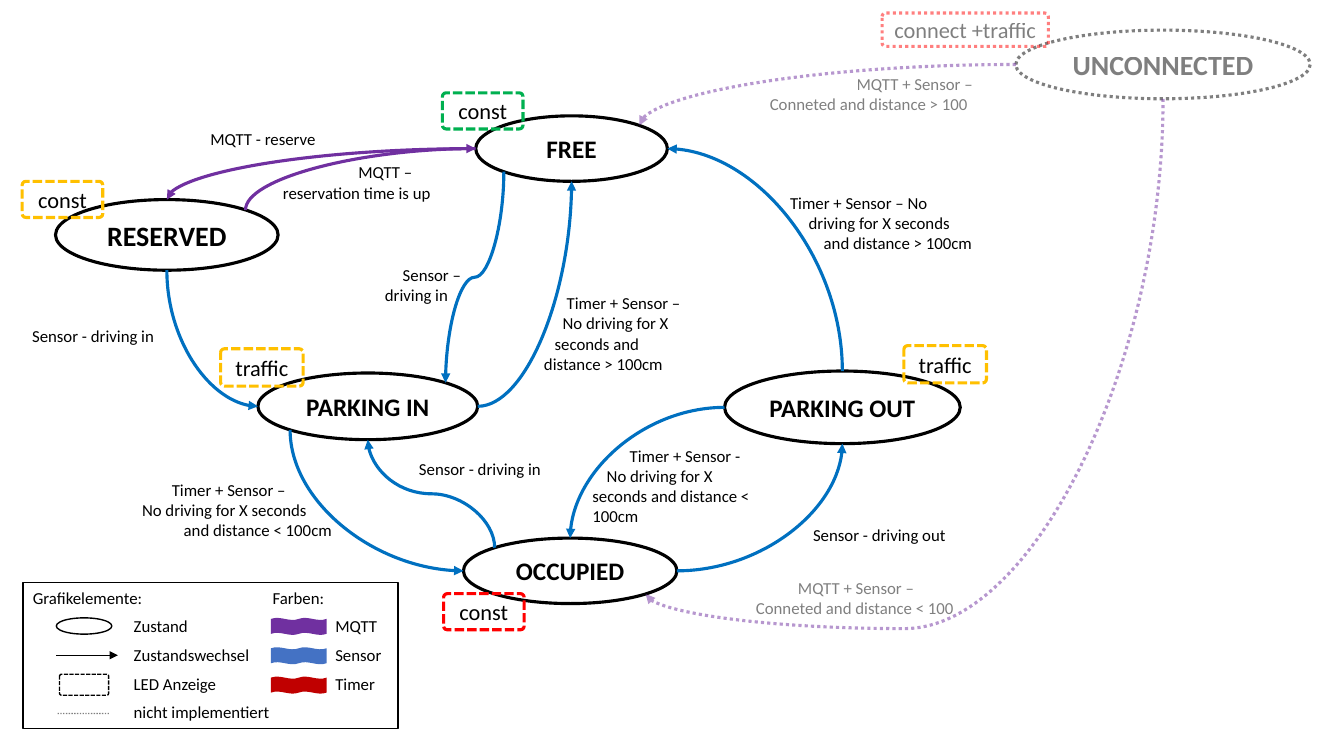
from math import cos, radians, sin

from lxml.etree import SubElement
from pptx import Presentation
from pptx.dml.color import RGBColor
from pptx.enum.dml import MSO_LINE as Dash
from pptx.enum.shapes import MSO_CONNECTOR as Connector, MSO_SHAPE as Shape
from pptx.enum.text import MSO_ANCHOR as Anchor, PP_ALIGN as Align
from pptx.oxml.ns import qn
from pptx.util import Cm, Pt

FONT = "Calibri"
BLACK = RGBColor(0x00, 0x00, 0x00)
PURPLE = RGBColor(0x70, 0x30, 0xA0)
BLUE = RGBColor(0x00, 0x70, 0xC0)
SENSOR_BLUE = RGBColor(0x44, 0x72, 0xC4)
DARK_RED = RGBColor(0xC0, 0x00, 0x00)
AMBER = RGBColor(0xFF, 0xC0, 0x00)
GREEN = RGBColor(0x00, 0xB0, 0x50)
RED = RGBColor(0xFF, 0x00, 0x00)

# Connection sites of an ellipse, counter-clockwise in steps of 45 degrees
(TOP, TOP_LEFT, LEFT, BOTTOM_LEFT,
 BOTTOM, BOTTOM_RIGHT, RIGHT, TOP_RIGHT) = range(8)

# name, left, top, width, height, font size
STATES = [
    ("FREE", 11.99, 2.92, 4.83, 1.65, 18),
    ("OCCUPIED", 11.68, 13.56, 5.38, 1.65, 18),
    ("PARKING IN", 6.5, 9.4, 5.54, 1.68, 18),
    ("PARKING OUT", 18.26, 9.35, 5.94, 1.83, 18),
    ("RESERVED", 1.4, 5.03, 5.61, 1.78, 20),
    ("UNCONNECTED", 25.6, 0.76, 7.42, 1.73, 20),
]

# from state, site, to state, site, colour
CHANGES = [
    ("FREE", LEFT, "RESERVED", TOP, PURPLE),
    ("RESERVED", TOP_RIGHT, "FREE", LEFT, PURPLE),
    ("RESERVED", BOTTOM, "PARKING IN", LEFT, BLUE),
    ("FREE", BOTTOM_LEFT, "PARKING IN", TOP_RIGHT, BLUE),
    ("OCCUPIED", RIGHT, "PARKING OUT", BOTTOM, BLUE),
    ("OCCUPIED", TOP_LEFT, "PARKING IN", BOTTOM, BLUE),
    ("PARKING IN", BOTTOM_LEFT, "OCCUPIED", LEFT, BLUE),
    ("PARKING IN", RIGHT, "FREE", BOTTOM, BLUE),
    ("PARKING OUT", TOP, "FREE", RIGHT, BLUE),
    ("PARKING OUT", LEFT, "OCCUPIED", TOP, BLUE),
]

# left, top, width, height, lines as (first-line indent, text)
LABELS = [
    (5.05, 3.12, 6.02, 0.76, [(0, "MQTT - reserve")]),
    (6.88, 3.96, 4.5, 1.28, [(1.9, "MQTT –"), (0, "reservation time is up")]),
    (0.56, 8.08, 4.55, 0.76, [(0, "Sensor - driving in")]),
    (20.24, 13.11, 4.17, 0.76, [(0, "Sensor - driving out")]),
    (13.46, 7.26, 4.09, 2.31, [(0.57, "Timer + Sensor –"), (0.47, "No driving for X"),
                               (0.27, "seconds and distance > 100cm")]),
    (9.45, 6.55, 3.58, 1.28, [(0.45, "Sensor –"), (0, "driving in")]),
    (10.31, 11.43, 3.66, 0.76, [(0, "Sensor - driving in")]),
    (14.68, 11.1, 4.9, 2.31, [(0.94, "Timer + Sensor -"),
                              (0.36, "No driving for X seconds and distance < 100cm")]),
    (3.33, 11.96, 5.89, 1.8, [(0.75, "Timer + Sensor –"), (0, "No driving for X seconds"),
                              (1.05, "and distance < 100cm")]),
    (19.56, 4.72, 5.26, 1.8, [(0.1, "Timer + Sensor – No"), (0.57, "driving for X seconds"),
                              (0.95, "and distance > 100cm")]),
]
FADED_LABELS = [
    (19.15, 1.73, 6.02, 1.28, [(2.19, "MQTT + Sensor –"), (0, "Conneted and distance > 100")]),
    (18.8, 14.43, 6.02, 1.28, [(1.06, "MQTT + Sensor –"), (0, "Conneted and distance < 100")]),
]

# text, left, top, width, height, colour
LEDS = [
    ("const", 0.56, 4.57, 2.03, 0.91, AMBER),
    ("traffic", 5.56, 8.79, 2.08, 0.94, AMBER),
    ("const", 11.15, 2.34, 2.03, 0.91, GREEN),
    ("const", 11.18, 14.96, 2.03, 0.91, RED),
    ("traffic", 22.78, 8.71, 2.08, 0.94, AMBER),
]

LEGEND = ["Grafikelemente:\tFarben:", "\tZustand\tMQTT", "\tZustandswechsel\tSensor",
          "\tLED Anzeige\tTimer", "\tnicht implementiert"]


def write(para, text, size=12, bold=False, align=Align.LEFT, indent=0, before=0, tabs=()):
    """Put formatted text into a paragraph."""
    para.alignment = align
    para.space_before = Pt(before)
    span = para.add_run()
    span.text = text
    span.font.name = FONT
    span.font.size = Pt(size)
    span.font.bold = bold
    span.font.color.rgb = BLACK
    props = para._p.get_or_add_pPr()
    if indent:
        props.set("indent", str(Cm(indent)))
    if tabs:
        stops = SubElement(props, qn("a:tabLst"))
        for stop in tabs:
            SubElement(stops, qn("a:tab"), pos=str(Cm(stop)), algn="l")


def next_para(frame, index):
    """Return the first paragraph, or a new one after it."""
    return frame.add_paragraph() if index else frame.paragraphs[0]


def fade(item):
    """Make every colour of an element half transparent."""
    for color in item._element.iter(qn("a:srgbClr")):
        SubElement(color, qn("a:alpha"), val="50000")


def style_line(item, color, width, dash=None, arrow=False):
    """Format an outline or a connector."""
    item.line.color.rgb = color
    item.line.width = Pt(width)
    if dash:
        item.line.dash_style = dash
    if arrow:
        SubElement(item.line._get_or_add_ln(), qn("a:tailEnd"), type="triangle")


def add_outline(page, kind, left, top, width, height, color=BLACK, weight=2.25, dash=None):
    """Add an unfilled preset shape."""
    box = page.shapes.add_shape(kind, Cm(left), Cm(top), Cm(width), Cm(height))
    box.shadow.inherit = False
    box.fill.background()
    style_line(box, color, weight, dash)
    if kind == Shape.ROUNDED_RECTANGLE:
        box.adjustments[0] = 0.1
    return box


def caption(box, text, **style):
    """Centre one line of text in a shape."""
    box.text_frame.word_wrap = False
    box.text_frame.vertical_anchor = Anchor.MIDDLE
    write(box.text_frame.paragraphs[0], text, align=Align.CENTER, **style)


def add_led(page, text, left, top, width, height, color, dash=Dash.SQUARE_DOT):
    """Add a dashed box that names an LED pattern."""
    box = add_outline(page, Shape.ROUNDED_RECTANGLE, left, top, width, height, color, dash=dash)
    caption(box, text, size=16)
    return box


def add_label(page, left, top, width, height, lines):
    """Add the condition written beside an arrow."""
    box = page.shapes.add_textbox(Cm(left), Cm(top), Cm(width), Cm(height))
    box.text_frame.word_wrap = True
    for index, (indent, text) in enumerate(lines):
        write(next_para(box.text_frame, index), text, indent=indent)
    return box


def add_line(page, kind, start, end, color=BLACK, weight=1, dash=None, arrow=False):
    """Add a connector without a shadow."""
    line = page.shapes.add_connector(kind, *map(int, start + end))
    style_line(line, color, weight, dash, arrow)
    SubElement(line._element.spPr, qn("a:effectLst"))
    return line


def site_point(state, site):
    """Return the position of a connection site on an ellipse."""
    angle = radians(90 + 45 * site)
    return (state.left + state.width / 2 * (1 + cos(angle)),
            state.top + state.height / 2 * (1 - sin(angle)))


def add_change(page, source, source_site, target, target_site, color, dash=None, bend=0.5):
    """Add a curved arrow glued to two states."""
    (x1, y1), (x2, y2) = site_point(source, source_site), site_point(target, target_site)
    sideways = source_site in (LEFT, RIGHT)
    # An arrow that leaves vertically is laid out sideways, then turned by 90 degrees
    run, rise = (x2 - x1, y2 - y1) if sideways else (y2 - y1, x1 - x2)
    mid_x, mid_y = (x1 + x2) / 2, (y1 + y2) / 2
    line = add_line(page, Connector.CURVE, (mid_x - run / 2, mid_y - rise / 2),
                    (mid_x + run / 2, mid_y + rise / 2), color, 2.25, dash, arrow=True)
    props = line._element.spPr
    if not sideways:
        props.find(qn("a:xfrm")).set("rot", "5400000")
    geometry = props.find(qn("a:prstGeom"))
    if sideways or target_site in (LEFT, RIGHT):
        geometry.set("prst", "curvedConnector2")
    else:
        SubElement(geometry.find(qn("a:avLst")), qn("a:gd"),
                   name="adj1", fmla=f"val {round(bend * 100000)}")
    glue = next(line._element.iter(qn("p:cNvCxnSpPr")))
    for tag, state, site in (("a:stCxn", source, source_site), ("a:endCxn", target, target_site)):
        SubElement(glue, qn(tag), id=str(state.shape_id), idx=str(site))
    return line


def add_legend(page):
    """Add the framed key of symbols and colours."""
    frame = add_outline(page, Shape.RECTANGLE, 0.58, 14.68, 9.45, 3.68, weight=1).text_frame
    frame.vertical_anchor = Anchor.TOP
    for index, text in enumerate(LEGEND):
        write(next_para(frame, index), text, before=6, tabs=(2.54, 7.62) if index else (6.04,))
    add_outline(page, Shape.OVAL, 1.42, 15.57, 1.4, 0.41, weight=1)
    add_outline(page, Shape.ROUNDED_RECTANGLE, 1.5, 16.99, 1.24, 0.53, weight=1,
                dash=Dash.SQUARE_DOT)
    add_line(page, Connector.STRAIGHT, (Cm(1.42), Cm(16.51)), (Cm(2.97), Cm(16.51)), arrow=True)
    fade(add_line(page, Connector.STRAIGHT, (Cm(1.45), Cm(17.98)), (Cm(2.77), Cm(17.98)),
                  dash=Dash.ROUND_DOT))
    for index, color in enumerate((PURPLE, SENSOR_BLUE, DARK_RED)):
        swatch = add_outline(page, Shape.DOUBLE_WAVE, 6.83, 15.57 + 0.74 * index, 1.4, 0.43)
        swatch.fill.solid()
        swatch.fill.fore_color.rgb = color
        swatch.line.fill.background()


def main():
    """Build the state diagram."""
    deck = Presentation()
    deck.slide_width, deck.slide_height = Cm(33.87), Cm(19.05)
    page = deck.slides.add_slide(deck.slide_layouts[6])
    states = {}
    for name, *place, size in STATES:
        dash = Dash.ROUND_DOT if name == "UNCONNECTED" else None
        states[name] = add_outline(page, Shape.OVAL, *place, dash=dash)
        caption(states[name], name, size=size, bold=True)
    for source, source_site, target, target_site, color in CHANGES:
        add_change(page, states[source], source_site, states[target], target_site, color)
    for label in LABELS:
        add_label(page, *label)
    for led in LEDS:
        add_led(page, *led)

    lost = states["UNCONNECTED"]
    faded = [lost, add_led(page, "connect +traffic", 22.23, 0.33, 4.19, 0.84, RED, Dash.ROUND_DOT)]
    for site, target, target_site in ((BOTTOM, "OCCUPIED", BOTTOM_RIGHT), (LEFT, "FREE", TOP_RIGHT)):
        faded.append(add_change(page, lost, site, states[target], target_site, PURPLE,
                                Dash.ROUND_DOT, bend=1.07))
    faded += [add_label(page, *label) for label in FADED_LABELS]
    for item in faded:
        fade(item)
    add_legend(page)
    deck.save("out.pptx")


main()
